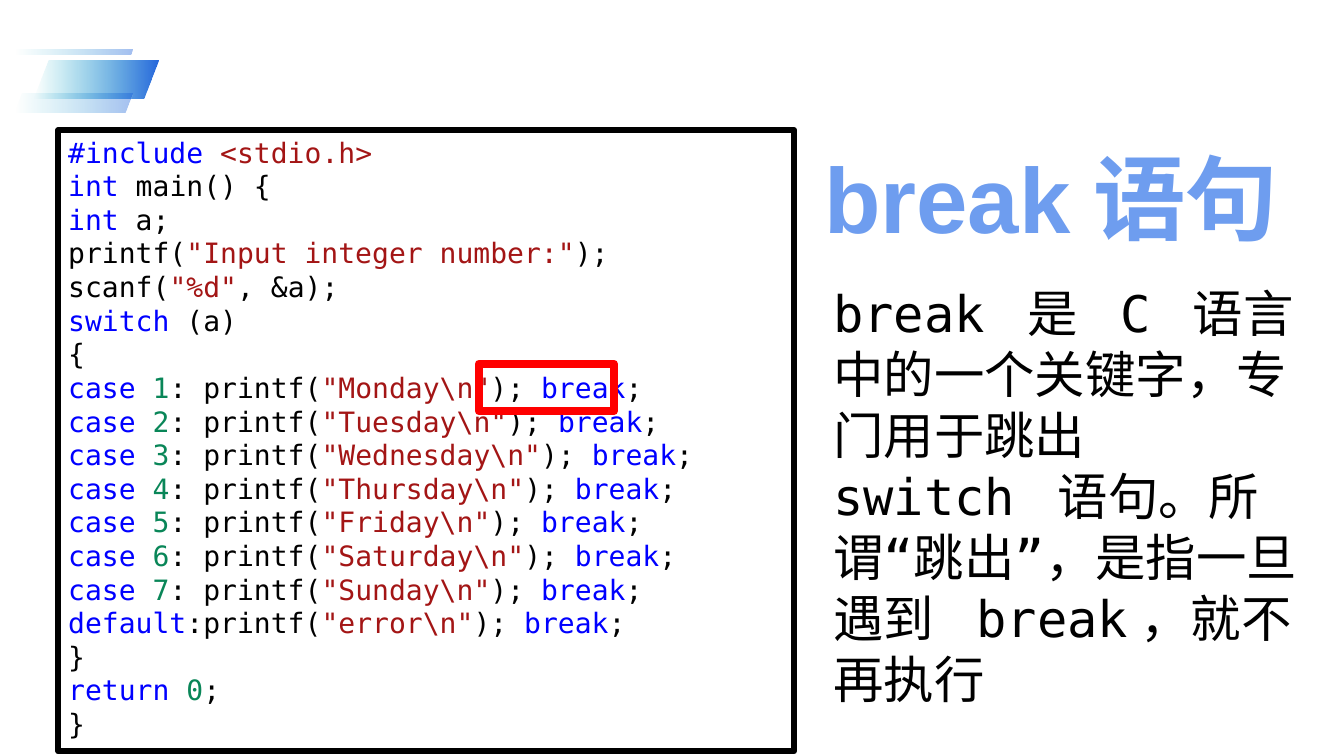
from dataclasses import dataclass

from lxml.etree import SubElement as Sub
from pptx import Presentation as Deck
from pptx.dml.color import RGBColor as Rgb
from pptx.enum.shapes import MSO_SHAPE as Kind
from pptx.enum.text import MSO_ANCHOR as Anchor, PP_ALIGN as Align
from pptx.oxml.ns import qn
from pptx.util import Cm, Pt


@dataclass(frozen=True)
class Theme:
    ink: str = "000000"
    key: str = "0000FF"
    quote: str = "A31515"
    digit: str = "098658"
    head: str = "6E9DEF"
    mark: str = "FF0000"
    teal: str = "07B2C4"
    blue: str = "185EDA"
    sans: str = "Arial"
    mono: str = "DejaVu Sans Mono"
    title: int = 66
    body: int = 36
    code: int = 20


def write(frame, lines, size, font, bold=False, space=None):
    frame.word_wrap = True
    frame.vertical_anchor = Anchor.TOP
    for row, line in enumerate(lines):
        para = frame.paragraphs[0] if row == 0 else frame.add_paragraph()
        para.alignment = Align.LEFT
        if space:
            para.line_spacing = Pt(space)
        for text, tint in line:
            run = para.add_run()
            run.text = text
            run.font.size = Pt(size)
            run.font.bold = bold
            run.font.color.rgb = Rgb.from_string(tint)
            run.font.name = font
            Sub(run.font._element, qn("a:ea"), typeface=font)


class Page:
    def __init__(self, deck, theme):
        self.theme = theme
        self.slide = deck.slides.add_slide(deck.slide_layouts[5])

    def title(self, text, box):
        item = self.slide.shapes.title
        item.left, item.top, item.width, item.height = map(Cm, box)
        look = self.theme
        write(item.text_frame, [[(text, look.head)]], look.title, look.sans, bold=True)

    def note(self, text, box):
        item = self.slide.shapes.add_textbox(*map(Cm, box))
        look = self.theme
        write(item.text_frame, [[(text, look.ink)]], look.body, look.mono, space=43.6)

    def frame(self, box, tint, width):
        item = self.slide.shapes.add_shape(Kind.RECTANGLE, *map(Cm, box))
        item.shadow.inherit = False
        item.fill.background()
        item.line.color.rgb = Rgb.from_string(tint)
        item.line.width = Pt(width)
        return item

    def code(self, lines, box):
        look = self.theme
        item = self.frame(box, look.ink, 4.5)
        Sub(item.line._ln, qn("a:round"))
        write(item.text_frame, lines, look.code, look.mono, space=24)

    def badge(self, bars):
        group = self.slide.shapes.add_group_shape()
        for box, alpha in bars:
            bar = group.shapes.add_shape(Kind.PARALLELOGRAM, *map(Cm, box))
            bar.adjustments[0] = 0.395
            bar.shadow.inherit = False
            bar.line.fill.background()
            bar.fill.gradient()
            bar.fill.gradient_angle = 0
            tints = (self.theme.teal, 0), (self.theme.blue, alpha)
            for stop, (tint, part) in zip(bar.fill.gradient_stops, tints):
                stop.color.rgb = Rgb.from_string(tint)
                tone = stop._gs.find(qn("a:srgbClr"))
                Sub(tone, qn("a:alpha"), val=str(part * 1000))


def listing(theme):
    ink, key, quote, digit = theme.ink, theme.key, theme.quote, theme.digit

    def branch(start, word):
        return start + [
            ("printf(", ink), (f'"{word}\\n"', quote), ("); ", ink),
            ("break", key), (";", ink),
        ]

    days = "Monday Tuesday Wednesday Thursday Friday Saturday Sunday".split()
    return [
        [("#include ", key), ("<stdio.h>", quote)],
        [("int", key), (" main() {", ink)],
        [("int", key), (" a;", ink)],
        [("printf(", ink), ('"Input integer number:"', quote), (");", ink)],
        [("scanf(", ink), ('"%d"', quote), (", &a);", ink)],
        [("switch", key), (" (a)", ink)],
        [("{", ink)],
        *(branch([("case ", key), (str(num), digit), (": ", ink)], day)
          for num, day in enumerate(days, 1)),
        branch([("default", key), (":", ink)], "error"),
        [("}", ink)],
        [("return ", key), ("0", digit), (";", ink)],
        [("}", ink)],
    ]


def main():
    theme = Theme()
    deck = Deck()
    deck.slide_width, deck.slide_height = Cm(33.87), Cm(19.05)
    page = Page(deck, theme)
    page.badge([
        ((0.84, 1.52, 3.15, 0.97), 94),
        ((0.36, 2.36, 2.97, 0.48), 40),
        ((0.36, 1.24, 2.97, 0.13), 40),
    ])
    page.code(listing(theme), (1.47, 3.28, 18.54, 15.65))
    page.title("break语句", (20.52, 3.43, 13.94, 3.07))
    page.note(
        "break 是 C 语言中的一个关键字，专门用于跳出 switch 语句。"
        "所谓“跳出”，是指一旦遇到 break，就不再执行",
        (20.75, 6.96, 12.27, 9.5),
    )
    page.frame((12.07, 9.17, 3.4, 1.19), theme.mark, 6)
    deck.save("out.pptx")


if __name__ == "__main__":
    main()
